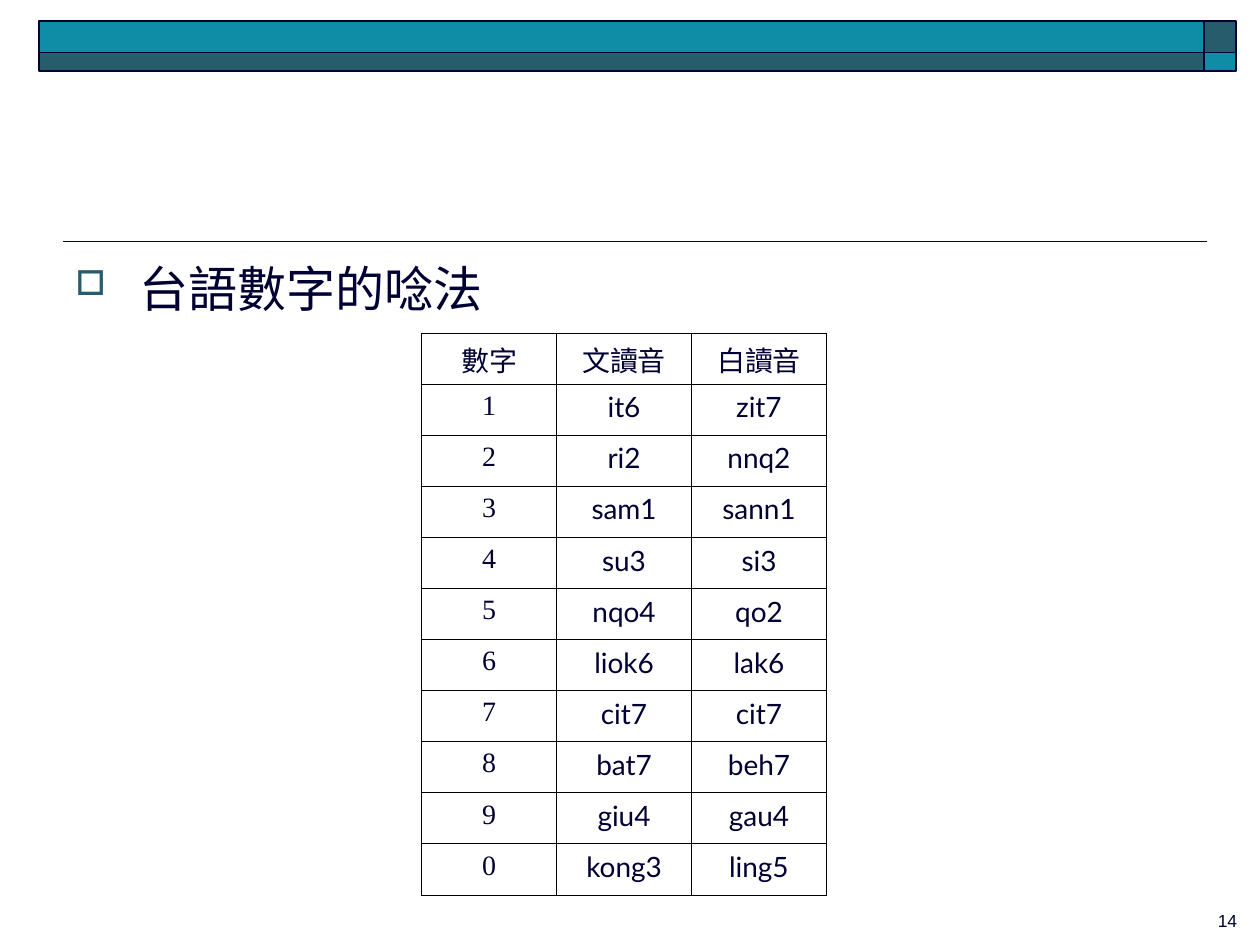
from dataclasses import dataclass

import pptx
import pptx.dml.color
import pptx.enum.shapes
import pptx.enum.text
import pptx.oxml
import pptx.oxml.ns
import pptx.util
from lxml import etree

Cm = pptx.util.Cm
Pt = pptx.util.Pt
RGBColor = pptx.dml.color.RGBColor
PP_ALIGN = pptx.enum.text.PP_ALIGN
qn = pptx.oxml.ns.qn


@dataclass(frozen=True)
class Theme:
    ink: RGBColor = RGBColor.from_string("000033")
    teal: RGBColor = RGBColor.from_string("108DA6")
    slate: RGBColor = RGBColor.from_string("275C6D")
    border: str = "000000"
    heading_size: Pt = Pt(28)
    table_size: Pt = Pt(16)
    number_size: Pt = Pt(10)
    line_width: Pt = Pt(1)
    border_width: Pt = Pt(0.45)
    serif: str = "Times New Roman"
    sans: str = "Lato"
    chinese: str = "Noto Sans CJK SC"
    footer: str = "Arial"


theme = Theme()


def style_paragraph(paragraph, size, font_name, alignment):
    paragraph.alignment = alignment
    paragraph.font.size = size
    paragraph.font.name = font_name
    paragraph.font.color.rgb = theme.ink
    properties = paragraph._p.pPr.find(qn("a:defRPr"))
    etree.SubElement(properties, qn("a:ea"), typeface=theme.chinese)


def border_cell(cell):
    properties = cell._tc.get_or_add_tcPr()
    for position, side in enumerate(("lnL", "lnR", "lnT", "lnB")):
        line = etree.Element(qn(f"a:{side}"), w=str(theme.border_width))
        fill = etree.SubElement(line, qn("a:solidFill"))
        etree.SubElement(fill, qn("a:srgbClr"), val=theme.border)
        properties.insert(position, line)


presentation = pptx.Presentation()
presentation.slide_width = Cm(25.4)
presentation.slide_height = Cm(19.05)
slide = presentation.slides.add_slide(presentation.slide_layouts[6])

# Rule under the title area
rule = slide.shapes.add_connector(
    pptx.enum.shapes.MSO_CONNECTOR.STRAIGHT, Cm(1.27), Cm(4.87), Cm(24.33), Cm(4.87)
)
rule.line.color.rgb = theme.ink
rule.line.width = theme.line_width
etree.SubElement(rule._element.spPr, qn("a:effectLst"))

# Header band: two rows, with the colours swapped in the end column
band_columns = [(0.79, 23.49), (24.28, 0.64)]
band_rows = [(0.43, 0.63), (1.06, 0.38)]
for row, (top, height) in enumerate(band_rows):
    for column, (left, width) in enumerate(band_columns):
        band = slide.shapes.add_shape(
            pptx.enum.shapes.MSO_SHAPE.RECTANGLE, Cm(left), Cm(top), Cm(width), Cm(height)
        )
        band.shadow.inherit = False
        band.fill.solid()
        band.fill.fore_color.rgb = theme.teal if row == column else theme.slate
        band.line.color.rgb = theme.ink
        band.line.width = theme.line_width

# Bulleted heading
heading = slide.shapes.add_textbox(Cm(1.27), Cm(5.08), Cm(22.83), Cm(1.45))
heading.text_frame.word_wrap = True
paragraph = heading.text_frame.paragraphs[0]
paragraph.text = "台語數字的唸法"
properties = paragraph._p.get_or_add_pPr()
properties.set("marL", str(Cm(1.3)))
properties.set("indent", str(-Cm(1.3)))
bullet_color = etree.SubElement(properties, qn("a:buClr"))
etree.SubElement(bullet_color, qn("a:srgbClr"), val=str(theme.slate))
etree.SubElement(properties, qn("a:buSzPct"), val="70000")
etree.SubElement(properties, qn("a:buChar"), char="□")
style_paragraph(paragraph, theme.heading_size, theme.serif, PP_ALIGN.LEFT)

# Table of readings
readings = [
    ("數字", "文讀音", "白讀音"),
    ("1", "it6", "zit7"),
    ("2", "ri2", "nnq2"),
    ("3", "sam1", "sann1"),
    ("4", "su3", "si3"),
    ("5", "nqo4", "qo2"),
    ("6", "liok6", "lak6"),
    ("7", "cit7", "cit7"),
    ("8", "bat7", "beh7"),
    ("9", "giu4", "gau4"),
    ("0", "kong3", "ling5"),
]
table = slide.shapes.add_table(
    len(readings), len(readings[0]), Cm(8.5), Cm(6.72), Cm(8.16), Cm(11.32)
).table
for column in table.columns:
    column.width = Cm(2.72)
for row_index, words in enumerate(readings):
    table.rows[row_index].height = Cm(1.03 if row_index else 1.02)
    for column_index, word in enumerate(words):
        cell = table.cell(row_index, column_index)
        cell.text = word
        cell.fill.background()
        border_cell(cell)
        if row_index == 0:
            font_name = theme.chinese
        else:
            font_name = theme.sans if column_index else theme.serif
        style_paragraph(
            cell.text_frame.paragraphs[0], theme.table_size, font_name, PP_ALIGN.CENTER
        )

# Slide number
number = slide.shapes.add_textbox(Cm(19.91), Cm(18.31), Cm(5.28), Cm(0.51))
number.text_frame.word_wrap = True
number.text_frame.vertical_anchor = pptx.enum.text.MSO_ANCHOR.MIDDLE
number.text_frame.text = "14"
style_paragraph(
    number.text_frame.paragraphs[0], theme.number_size, theme.footer, PP_ALIGN.RIGHT
)

presentation.save("out.pptx")
